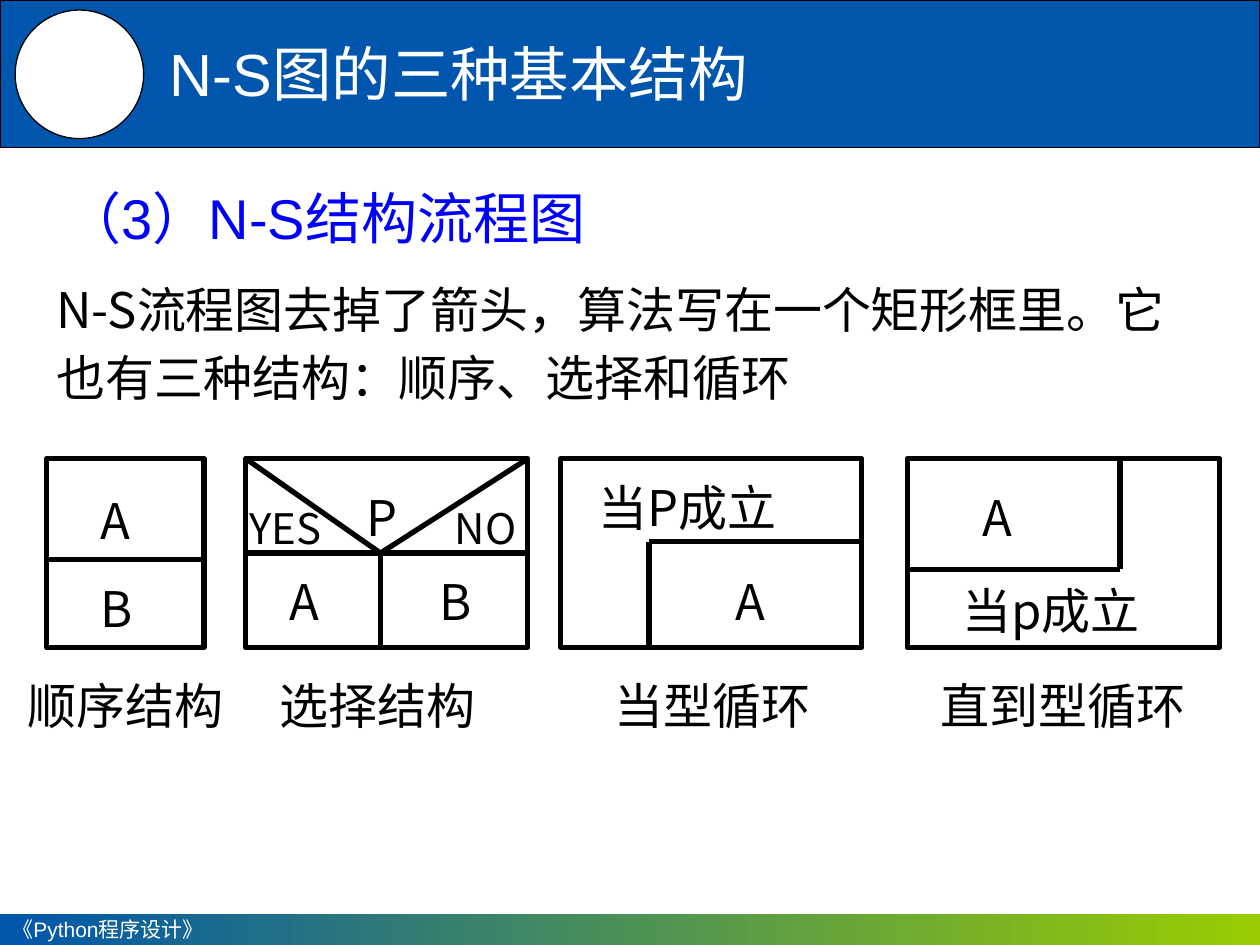
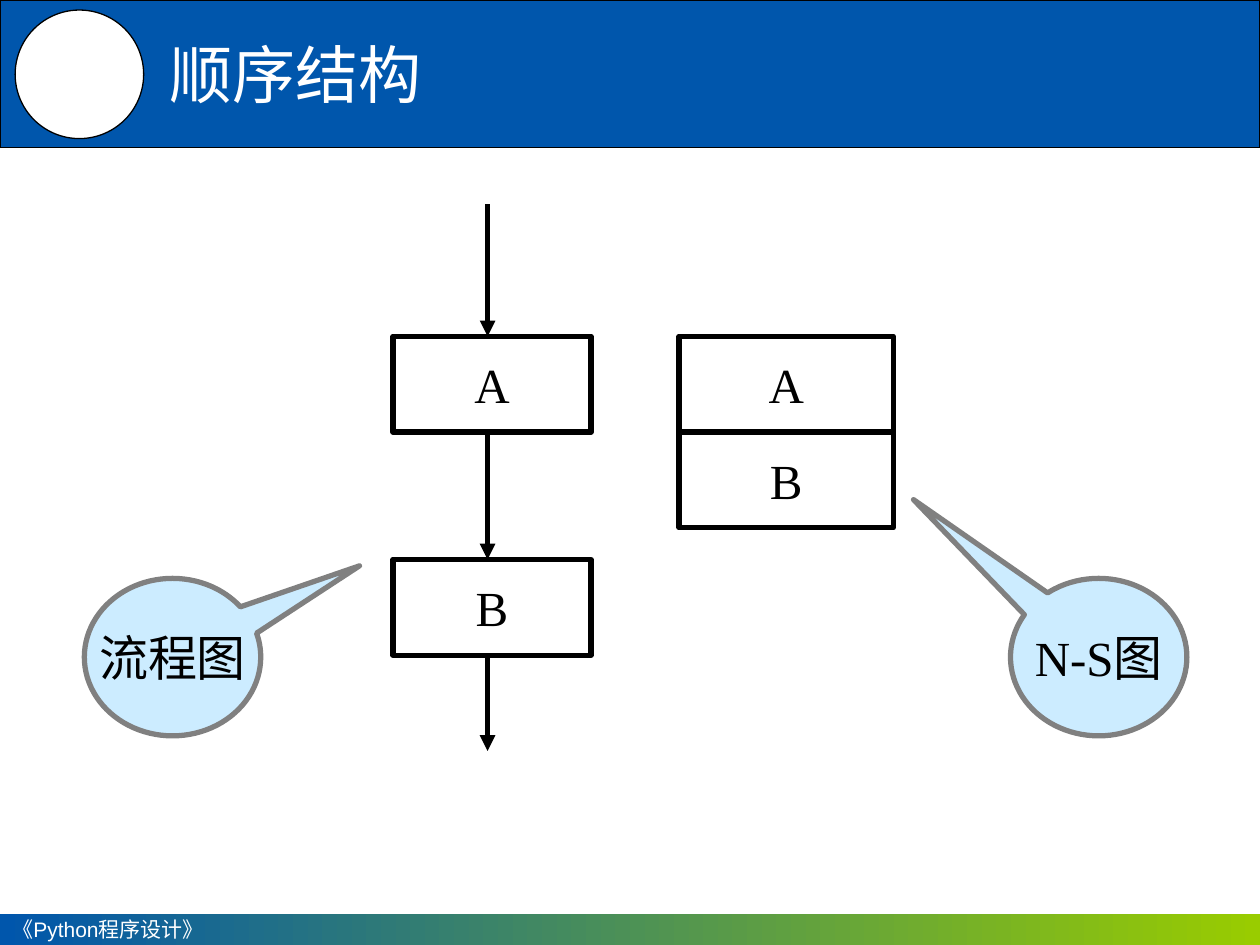
from lxml import etree
from pptx import Presentation
from pptx.dml.color import RGBColor
from pptx.enum.shapes import MSO_CONNECTOR, MSO_SHAPE
from pptx.enum.text import MSO_ANCHOR, MSO_AUTO_SIZE, PP_ALIGN
from pptx.oxml.ns import qn
from pptx.util import Inches, Pt

BLACK = RGBColor(0x00, 0x00, 0x00)
WHITE = RGBColor(0xFF, 0xFF, 0xFF)
BLUE = RGBColor(0x00, 0x56, 0xAC)
GREEN = RGBColor(0x99, 0xCC, 0x00)
HEADING_BLUE = RGBColor(0x00, 0x00, 0xFF)
PALE_BLUE = RGBColor(0xCC, 0xEC, 0xFF)
GREY = RGBColor(0x80, 0x80, 0x80)

SANS, ARIAL, TIMES = "Noto Sans CJK SC", "Arial", "Times New Roman"

RECT = MSO_SHAPE.RECTANGLE
OVAL = MSO_SHAPE.OVAL
PROCESS = MSO_SHAPE.FLOWCHART_PROCESS
CALLOUT = MSO_SHAPE.OVAL_CALLOUT
STRAIGHT = MSO_CONNECTOR.STRAIGHT
MIDDLE = MSO_ANCHOR.MIDDLE
LEFT, CENTER = PP_ALIGN.LEFT, PP_ALIGN.CENTER
GROW = MSO_AUTO_SIZE.SHAPE_TO_FIT_TEXT

LEFT_SIDE, RIGHT_SIDE = 1, 3
CHART_TOP, CHART_HEIGHT = 3.64, 1.5
CHART_BOTTOM = CHART_TOP + CHART_HEIGHT
CAPTION_TOP = 5.31
FLOW_X = 3.87
STEP_TOP, STEP_HEIGHT = 2.67, 0.76


def write(shape, text, size, font, color, align=LEFT):
    tf = shape.text_frame
    tf.text = text
    p = tf.paragraphs[0]
    p.alignment = align
    r = p.runs[0]
    r.font.size = Pt(size)
    r.font.name = font
    r.font.color.rgb = color
    east_asian = etree.SubElement(r.font._element, qn("a:ea"))
    east_asian.set("typeface", SANS)
    return tf


def add_text(slide, text, left, top, width, height, size=28, font=SANS, color=BLACK):
    sp = slide.shapes.add_textbox(Inches(left), Inches(top), Inches(width), Inches(height))
    tf = write(sp, text, size, font, color)
    tf.word_wrap = True
    return tf


def add_label(slide, text, left, top, width, size=28):
    """Diagram label whose box grows to fit its text."""
    tf = add_text(slide, text, left, top, width, 0.57 if size == 28 else 0.51, size)
    tf.auto_size = GROW


def add_title(slide, text, size, font):
    tf = add_text(slide, text, 1.25, 0.08, 8.75, 1, size, font, WHITE)
    tf.vertical_anchor = MIDDLE


def add_box(slide, kind, left, top, width, height, fill=None, line=BLACK, weight=3):
    sp = slide.shapes.add_shape(kind, Inches(left), Inches(top), Inches(width), Inches(height))
    sp.shadow.inherit = False
    if fill is None:
        sp.fill.background()
    else:
        sp.fill.solid()
        sp.fill.fore_color.rgb = fill
    sp.line.color.rgb = line
    sp.line.width = Pt(weight)
    return sp


def add_text_box(slide, kind, text, left, top, width, height, fill=WHITE, line=BLACK):
    sp = add_box(slide, kind, left, top, width, height, fill, line)
    tf = write(sp, text, 28, TIMES, BLACK, CENTER)
    tf.word_wrap = False
    tf.vertical_anchor = MIDDLE
    return sp


def add_callout(slide, text, left, tip):
    sp = add_text_box(slide, CALLOUT, text, left, 4.59, 1.4, 1.25, PALE_BLUE, GREY)
    sp.adjustments[0], sp.adjustments[1] = tip


def add_line(slide, x1, y1, x2, y2, arrow=False):
    line = slide.shapes.add_connector(STRAIGHT, Inches(x1), Inches(y1), Inches(x2), Inches(y2))
    line.line.color.rgb = BLACK
    line.line.width = Pt(3)
    if arrow:
        etree.SubElement(line.line._get_or_add_ln(), qn("a:tailEnd")).set("type", "triangle")
    etree.SubElement(line._element.spPr, qn("a:effectLst"))
    return line


def add_footer(slide):
    sp = add_box(slide, RECT, 0, 7.25, 10, 0.25)
    sp.line.fill.background()
    sp.fill.gradient()
    sp.fill.gradient_angle = 0
    for stop, color, position in zip(sp.fill.gradient_stops, (BLUE, GREEN), (0, 1)):
        stop.color.rgb = color
        stop.position = position
    tf = write(sp, "《Python程序设计》", 12, ARIAL, WHITE)
    tf.vertical_anchor = MIDDLE


def new_slide(prs):
    """Blank slide with the shared header band, disc and footer."""
    slide = prs.slides.add_slide(prs.slide_layouts[6])
    add_box(slide, RECT, 0, 0, 10, 1.17, BLUE, weight=0.75)
    add_footer(slide)
    add_box(slide, OVAL, 0.12, 0.08, 1.02, 1.02, WHITE, weight=0.75)
    return slide


def add_frame(slide, left, width, caption, caption_left, caption_width):
    """Outer frame of an N-S chart, with its caption below."""
    add_label(slide, caption, caption_left, CAPTION_TOP, caption_width)
    return add_box(slide, RECT, left, CHART_TOP, width, CHART_HEIGHT)


def draw_sequence(slide):
    split = 4.44
    add_frame(slide, 0.37, 1.25, "顺序结构", 0.12, 2.08)
    add_line(slide, 0.37, split, 1.62, split)
    add_label(slide, "A", 0.7, 3.84, 0.5)
    add_label(slide, "B", 0.7, 4.54, 0.5)


def draw_selection(slide):
    left, right, middle, split = 1.95, 4.19, 3.02, 4.39
    frame = add_frame(slide, left, right - left, "选择结构", 2.12, 2)
    divider = add_line(slide, left, split, right, split)
    divider.begin_connect(frame, LEFT_SIDE)
    divider.end_connect(frame, RIGHT_SIDE)
    add_line(slide, middle, split, middle, CHART_BOTTOM)
    for corner in (left, right):
        add_line(slide, corner, CHART_TOP, middle, split)
    add_label(slide, "P", 2.81, 3.82, 0.49)
    add_label(slide, "YES", 1.88, 3.94, 0.95, 24)
    add_label(slide, "NO", 3.51, 3.94, 0.78, 24)
    add_label(slide, "A", 2.2, 4.49, 0.6)
    add_label(slide, "B", 3.39, 4.49, 0.6)


def draw_while_loop(slide):
    left, right, inner_left, inner_top = 4.45, 6.84, 5.15, 4.3
    add_frame(slide, left, right - left, "当型循环", 4.78, 2.17)
    add_line(slide, inner_left, inner_top, inner_left, CHART_BOTTOM)
    add_line(slide, inner_left, inner_top, right, inner_top)
    add_label(slide, "当P成立", 4.65, 3.74, 1.97)
    add_label(slide, "A", 5.74, 4.49, 0.6)


def draw_until_loop(slide):
    left, right, inner_right, inner_bottom = 7.2, 9.68, 8.89, 4.52
    add_frame(slide, left, right - left, "直到型循环", 7.37, 2.33)
    add_line(slide, left, inner_bottom, inner_right, inner_bottom)
    add_line(slide, inner_right, inner_bottom, inner_right, CHART_TOP)
    add_label(slide, "A", 7.7, 3.82, 0.5)
    add_label(slide, "当p成立", 7.54, 4.56, 2.08)


def build_structures_slide(prs):
    slide = new_slide(prs)
    add_title(slide, "N-S图的三种基本结构", 34, ARIAL)
    heading = add_text(slide, "（3）N-S结构流程图", 0.42, 1.35, 5.09, 0.75,
                       32, ARIAL, HEADING_BLUE)
    heading.vertical_anchor = MIDDLE
    body = add_text(slide, "N-S流程图去掉了箭头，算法写在一个矩形框里。它也有三种结构：顺序、选择和循环",
                    0.35, 2.1, 9.1, 1.24)
    body.paragraphs[0].line_spacing = 1.15
    draw_sequence(slide)
    draw_selection(slide)
    draw_while_loop(slide)
    draw_until_loop(slide)


def build_sequence_slide(prs):
    slide = new_slide(prs)
    add_title(slide, "顺序结构", 36, SANS)
    for step, flow_top, ns_top in (("A", STEP_TOP, STEP_TOP),
                                   ("B", 4.44, STEP_TOP + STEP_HEIGHT)):
        add_text_box(slide, PROCESS, step, 3.12, flow_top, 1.57, STEP_HEIGHT)
        add_text_box(slide, RECT, step, 5.39, ns_top, 1.7, STEP_HEIGHT)
    for start, end in ((1.62, STEP_TOP), (STEP_TOP + STEP_HEIGHT, 4.44), (5.2, 5.96)):
        add_line(slide, FLOW_X, start, FLOW_X, end, arrow=True)
    add_callout(slide, "流程图", 0.67, (1.06, -0.58))
    add_callout(slide, "N-S图", 8.02, (-1.05, -1.0))


def main():
    prs = Presentation()
    prs.slide_width, prs.slide_height = Inches(10), Inches(7.5)
    build_structures_slide(prs)
    build_sequence_slide(prs)
    prs.save("out.pptx")


if __name__ == "__main__":
    main()
